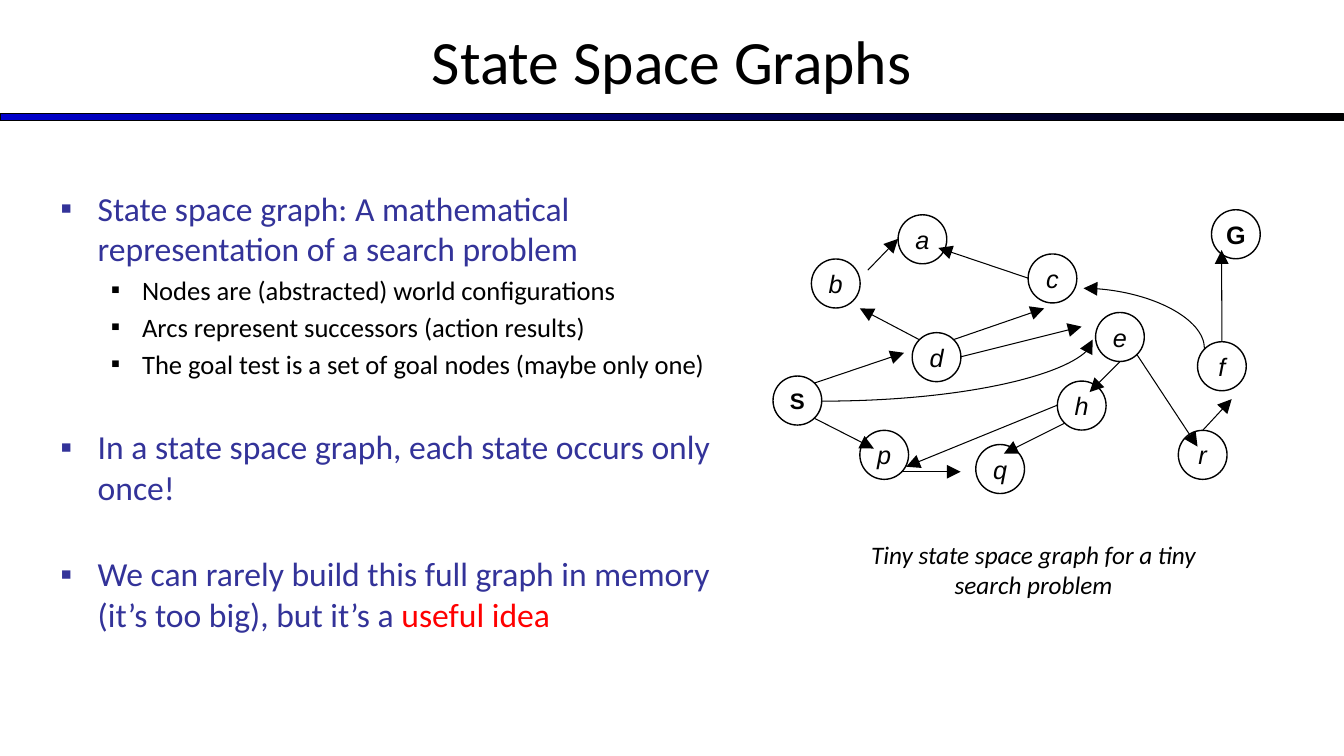
import dataclasses
import typing

import lxml.etree
import pptx
import pptx.dml.color
import pptx.enum.shapes
import pptx.enum.text
import pptx.oxml.ns
import pptx.util

Pt = pptx.util.Pt
qn = pptx.oxml.ns.qn
ALIGN = pptx.enum.text.PP_ALIGN
ANCHOR = pptx.enum.text.MSO_ANCHOR
SHAPE = pptx.enum.shapes.MSO_SHAPE
CONNECTOR = pptx.enum.shapes.MSO_CONNECTOR

BLACK, INDIGO, RED, BLUE = "000000", "333399", "FF0000", "0000CC"
NODE_WIDTH, NODE_HEIGHT = 34.8, 35
Position = tuple[float, float]


@dataclasses.dataclass
class State:
    label: str
    left: float
    top: float
    size: float = 18
    goal_or_start: bool = False


@dataclasses.dataclass
class Arc:
    start: Position
    end: Position
    from_top_of: str = ""
    curved: bool = False
    leaves_vertically: bool = False


@dataclasses.dataclass
class Statement:
    phrases: list[tuple[str, str]]
    level: int = 0
    space_before: float = 0


STATES = [
    State("S", 552.2, 268.6, 16, True),
    State("G", 865.4, 149.8, 18, True),
    State("d", 651.6, 237.6),
    State("b", 579.6, 185),
    State("p", 614.2, 307.4),
    State("q", 697, 317.5),
    State("c", 734.4, 181.4),
    State("e", 782.6, 223.2),
    State("h", 755.3, 272.2),
    State("a", 641.5, 153.4),
    State("f", 855.4, 244.1),
    State("r", 841.7, 307.4),
]

ARCS = [
    Arc((581.8, 298.8), (624.2, 320.4)),
    Arc((643.7, 337), (686.2, 337)),
    Arc((760.3, 302.4), (717.1, 324)),
    Arc((755.3, 289.4), (647.3, 333.4)),
    Arc((799.9, 258.5), (778.3, 280.1)),
    Arc((812.2, 253.4), (855.4, 319)),
    Arc((859, 307.4), (879.8, 285.1), from_top_of="r"),
    Arc((872.6, 244.1), (872.6, 178.6), from_top_of="f"),
    Arc((581.8, 273.6), (645.8, 252)),
    Arc((656.6, 242.6), (614.2, 220.3)),
    Arc((619.9, 193), (641.5, 170.6)),
    Arc((734.4, 198.7), (670.3, 177.1)),
    Arc((681.1, 242.6), (745.9, 220.3)),
    Arc((686.2, 254.9), (772.6, 233.3)),
    Arc((860.4, 249.1), (774, 205.9), curved=True, leaves_vertically=True),
    Arc((586.8, 286.6), (780.5, 242.6), curved=True),
]

STATEMENTS = [
    Statement([("State space graph: A mathematical representation of a search problem", INDIGO)]),
    Statement([("Nodes are (abstracted) world configurations", BLACK)], 1, 3.8),
    Statement([("Arcs represent successors (action results)", BLACK)], 1, 3.8),
    Statement([("The goal test is a set of goal nodes (maybe only one)", BLACK)], 1, 3.8),
    Statement([("In a state space graph, each state occurs only once!", INDIGO)], 0, 33.2),
    Statement([("We can rarely build this full graph in memory (it’s too big), but it’s a ", INDIGO),
               ("useful idea", RED)], 0, 33.2),
]


def colour(hex_string: str) -> pptx.dml.color.RGBColor:
    return pptx.dml.color.RGBColor.from_string(hex_string)


def write(paragraph: typing.Any, text: str, *, size: float, font: str = "Calibri",
          ink: str = BLACK, bold: bool = False, italic: bool = False,
          align: typing.Any = None) -> None:
    run = paragraph.add_run()
    run.text = text
    run.font.size = Pt(size)
    run.font.name = font
    run.font.color.rgb = colour(ink)
    run.font.bold = bold
    run.font.italic = italic
    if align is not None:
        paragraph.alignment = align


def place(item: typing.Any, left: float, top: float, width: float, height: float) -> None:
    item.left, item.top, item.width, item.height = map(Pt, (left, top, width, height))


def add_bullet(paragraph: typing.Any, margin: float, hanging: float, ink: str) -> None:
    properties = paragraph._p.get_or_add_pPr()
    properties.set("marL", str(Pt(margin)))
    properties.set("indent", str(-Pt(hanging)))
    bullet_colour = lxml.etree.SubElement(properties, qn("a:buClr"))
    lxml.etree.SubElement(bullet_colour, qn("a:srgbClr"), val=ink)
    lxml.etree.SubElement(properties, qn("a:buFont"), typeface="Arial")
    lxml.etree.SubElement(properties, qn("a:buChar"), char="▪")


def write_statements(body: typing.Any) -> None:
    frame = body.text_frame
    frame.auto_size = pptx.enum.text.MSO_AUTO_SIZE.NONE
    for number, statement in enumerate(STATEMENTS):
        paragraph = frame.add_paragraph() if number else frame.paragraphs[0]
        paragraph.level = statement.level
        paragraph.space_before = Pt(statement.space_before)
        margin, hanging, size = (58.3, 22.3, 19) if statement.level else (26.6, 26.6, 24)
        add_bullet(paragraph, margin, hanging, statement.phrases[0][1])
        for text, ink in statement.phrases:
            write(paragraph, text, size=size, ink=ink)


def draw_header_rule(slide: typing.Any) -> None:
    rule = slide.shapes.add_shape(SHAPE.RECTANGLE, Pt(0), Pt(81.2), Pt(960), Pt(5))
    rule.shadow.inherit = False
    rule.fill.gradient()
    rule.fill.gradient_angle = 0
    for stop, ink, position in zip(rule.fill.gradient_stops, (BLUE, BLACK), (0, 1)):
        stop.color.rgb = colour(ink)
        stop.position = position
    rule.line.color.rgb = colour(BLACK)
    rule.line.width = Pt(0.75)


def draw_state(slide: typing.Any, state: State) -> typing.Any:
    node = slide.shapes.add_shape(SHAPE.FLOWCHART_CONNECTOR, Pt(state.left), Pt(state.top),
                                  Pt(NODE_WIDTH), Pt(NODE_HEIGHT))
    node.shadow.inherit = False
    node.fill.background()
    node.line.color.rgb = colour(BLACK)
    node.line.width = Pt(1)
    node.text_frame.word_wrap = False
    node.text_frame.vertical_anchor = ANCHOR.MIDDLE
    write(node.text_frame.paragraphs[0], state.label, size=state.size, font="Arial",
          bold=state.goal_or_start, italic=not state.goal_or_start, align=ALIGN.CENTER)
    return node


def quarter_turn_back(start: Position, end: Position) -> tuple[Position, Position]:
    middle_x, middle_y = (start[0] + end[0]) / 2, (start[1] + end[1]) / 2
    reach_x, reach_y = start[0] - middle_x, start[1] - middle_y
    return ((middle_x + reach_y, middle_y - reach_x),
            (middle_x - reach_y, middle_y + reach_x))


def draw_arc(slide: typing.Any, arc: Arc, nodes: dict[str, typing.Any]) -> None:
    start, end = arc.start, arc.end
    if arc.leaves_vertically:
        start, end = quarter_turn_back(start, end)
    kind = CONNECTOR.CURVE if arc.curved else CONNECTOR.STRAIGHT
    arrow = slide.shapes.add_connector(kind, *map(Pt, (*start, *end)))
    if arc.from_top_of:
        arrow.begin_connect(nodes[arc.from_top_of], 0)
    arrow.line.color.rgb = colour(BLACK)
    arrow.line.width = Pt(0.75)
    properties = arrow.element.spPr
    if arc.curved:
        properties.find(qn("a:prstGeom")).set("prst", "curvedConnector2")
    if arc.leaves_vertically:
        properties.find(qn("a:xfrm")).set("rot", "5400000")
    lxml.etree.SubElement(properties.find(qn("a:ln")), qn("a:tailEnd"),
                          type="triangle", w="lg", len="lg")
    lxml.etree.SubElement(properties, qn("a:effectLst"))


def main() -> None:
    deck = pptx.Presentation()
    deck.slide_width, deck.slide_height = Pt(960), Pt(540)
    slide = deck.slides.add_slide(deck.slide_layouts[1])
    heading, body = slide.shapes.title, slide.placeholders[1]

    place(heading, 0, -2.2, 960, 90)
    heading.text_frame.vertical_anchor = ANCHOR.MIDDLE
    write(heading.text_frame.paragraphs[0], "State Space Graphs", size=44, align=ALIGN.CENTER)
    place(body, 36, 130.3, 498.2, 356.4)
    write_statements(body)

    draw_header_rule(slide)
    nodes = {state.label: draw_state(slide, state) for state in STATES}
    for arc in ARCS:
        draw_arc(slide, arc, nodes)

    caption = slide.shapes.add_textbox(Pt(606.2), Pt(381.6), Pt(264.2), Pt(51.1))
    caption.text_frame.word_wrap = True
    write(caption.text_frame.paragraphs[0], "Tiny state space graph for a tiny search problem",
          size=18, italic=True, align=ALIGN.CENTER)
    deck.save("out.pptx")


if __name__ == "__main__":
    main()
